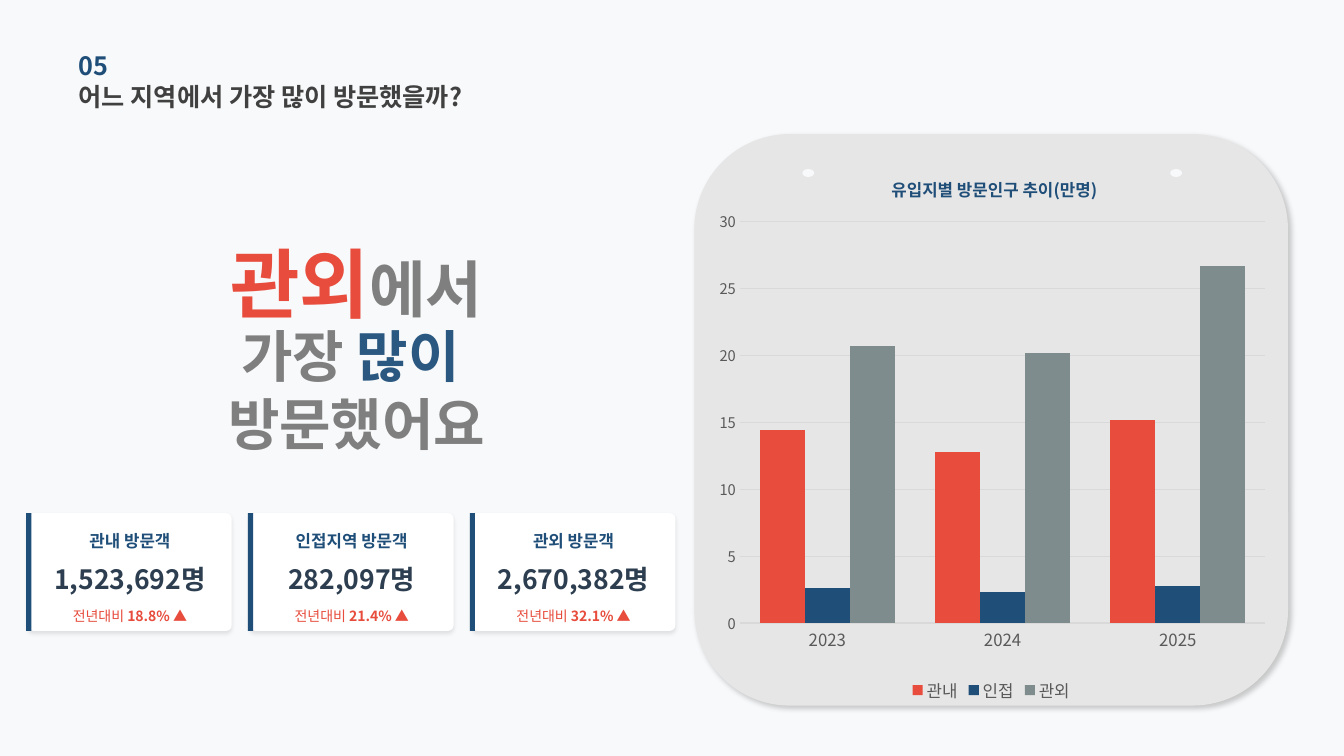
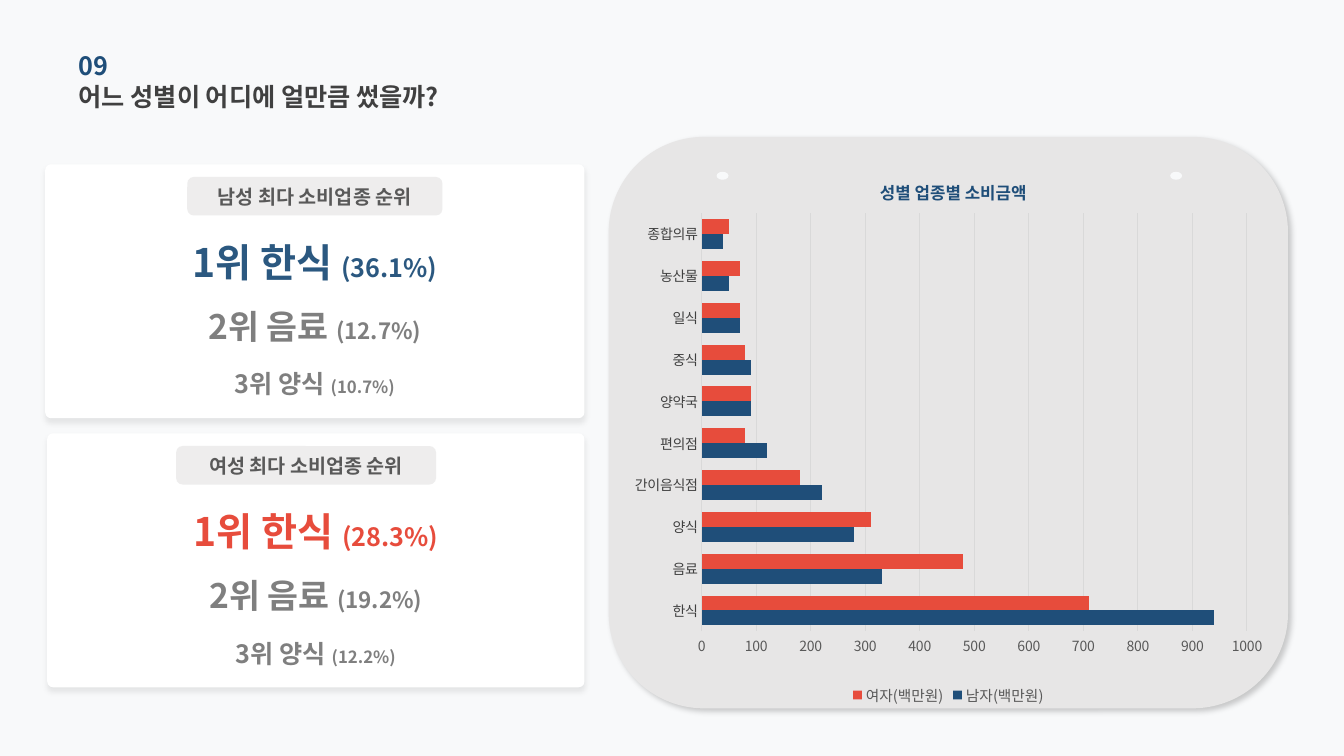
from lxml.etree import SubElement
from pptx import Presentation
from pptx.chart.data import CategoryChartData as Data
from pptx.dml.color import RGBColor as Rgb
from pptx.enum.chart import XL_CHART_TYPE as Kind
from pptx.enum.chart import XL_LEGEND_POSITION as Side
from pptx.enum.chart import XL_TICK_MARK as Tick
from pptx.enum.shapes import MSO_SHAPE as Form
from pptx.enum.text import MSO_ANCHOR as Anchor
from pptx.enum.text import MSO_AUTO_SIZE as Auto
from pptx.enum.text import PP_ALIGN as Align
from pptx.oxml import parse_xml
from pptx.oxml.ns import nsdecls, qn
from pptx.util import Cm, Pt

FONT = "Noto Sans CJK KR"
BACK = Rgb(0xF8, 0xF9, 0xFA)
WHITE = Rgb(0xFF, 0xFF, 0xFF)
PANEL = Rgb(0xE7, 0xE6, 0xE6)
PILL = Rgb(0xD0, 0xCE, 0xCE)
GRID = Rgb(0xD9, 0xD9, 0xD9)
NAVY = Rgb(0x1F, 0x4E, 0x79)
BLUE = Rgb(0x2B, 0x58, 0x80)
RED = Rgb(0xE7, 0x4C, 0x3C)
SLATE = Rgb(0x7F, 0x8C, 0x8D)
INK = Rgb(0x2C, 0x3E, 0x50)
DARK = Rgb(0x40, 0x40, 0x40)
DIM = Rgb(0x59, 0x59, 0x59)
GRAY = Rgb(0x7F, 0x7F, 0x7F)
FRAME = {
    "margin_left": 0, "margin_right": 0, "margin_top": 0, "margin_bottom": 0,
    "vertical_anchor": Anchor.MIDDLE, "word_wrap": True, "auto_size": Auto.NONE,
}


def apply(obj, values):
    """Set each attribute of an object from a dict."""
    for key, value in values.items():
        setattr(obj, key, value)


def style(font, size, color, bold=False):
    """Give a font the deck's face with a size, colour and weight."""
    apply(font, {"name": FONT, "size": Pt(size), "bold": bold})
    font.color.rgb = color


def write(frame, rows, align=Align.CENTER):
    """Fill a text frame with rows of (text, size, colour, bold) runs."""
    apply(frame, FRAME)
    for num, row in enumerate(rows):
        para = frame.add_paragraph() if num else frame.paragraphs[0]
        para.alignment = align
        for text, *look in row:
            run = para.add_run()
            run.text = text
            style(run.font, *look)


def label(shapes, box, rows, align=Align.CENTER):
    """Add a text box in a box given in centimetres."""
    write(shapes.add_textbox(*map(Cm, box)).text_frame, rows, align)


def draw(shapes, form, box, color, adj=None, alpha=None, shadow=None):
    """Add a filled shape with optional rounding, opacity and shadow."""
    shape = shapes.add_shape(form, *map(Cm, box))
    shape.shadow.inherit = False
    shape.fill.solid()
    shape.fill.fore_color.rgb = color
    shape.line.fill.background()
    if adj is not None:
        shape.adjustments[0] = adj
    props = shape._element.spPr
    if alpha:
        tone = props.find(".//" + qn("a:srgbClr"))
        SubElement(tone, qn("a:alpha"), val=str(alpha * 1000))
    if shadow:
        part, blur, dist, turn = shadow
        drop = SubElement(
            props.find(qn("a:effectLst")), qn("a:outerShdw"), blurRad=str(Pt(blur)),
            dist=str(Pt(dist)), dir=str(turn * 60000), algn="ctr", rotWithShape="0")
        tone = SubElement(drop, qn("a:srgbClr"), val="000000")
        SubElement(tone, qn("a:alpha"), val=str(part * 1000))
    return shape


def hangul(root):
    """Use each Latin face for East Asian text too."""
    for latin in list(root.iter(qn("a:latin"))):
        latin.addnext(parse_xml(f'<a:ea {nsdecls("a")} typeface="{FONT}"/>'))


def locate(node, index, spot):
    """Place a chart part by fractions of the chart's size."""
    for old in node.findall(qn("c:layout")):
        node.remove(old)
    layout = parse_xml(f'<c:layout {nsdecls("c")}/>')
    manual = SubElement(layout, qn("c:manualLayout"))
    if len(spot) == 4:
        SubElement(manual, qn("c:layoutTarget"), val="inner")
    for name in ("xMode", "yMode"):
        SubElement(manual, qn("c:" + name), val="edge")
    for name, value in zip("xywh", spot):
        SubElement(manual, qn("c:" + name), val=str(value))
    node.insert(index, layout)


def bare():
    """Return chart properties with neither fill nor line."""
    return parse_xml(f'<c:spPr {nsdecls("c", "a")}><a:noFill/>'
                     '<a:ln><a:noFill/></a:ln></c:spPr>')


def plot(shapes, box, spec):
    """Add a clustered bar or column chart."""
    data = Data()
    data.categories = spec["cats"]
    for name, _, vals in spec["rows"]:
        data.add_series(name, vals)
    chart = shapes.add_chart(spec["kind"], *map(Cm, box), data).chart
    style(chart.font, 10, DIM)
    chart.has_title = True
    run = chart.chart_title.text_frame.paragraphs[0].add_run()
    run.text = spec["title"]
    style(run.font, 12, NAVY, True)
    chart.has_legend = True
    apply(chart.legend, {"position": Side.BOTTOM, "include_in_layout": False})
    style(chart.legend.font, spec["key"], DIM)

    cat, val = chart.category_axis, chart.value_axis
    for axis, look in ((cat, spec["cat"]), (val, spec["val"])):
        apply(axis, {"major_tick_mark": Tick.NONE, "minor_tick_mark": Tick.NONE})
        style(axis.tick_labels.font, *look)
    top, step = spec["scale"]
    apply(val, {"minimum_scale": 0, "maximum_scale": top, "major_unit": step,
                "has_major_gridlines": True})
    for line in (cat.format.line, val.major_gridlines.format.line):
        line.color.rgb = GRID
        line.width = Pt(0.75)
    val.format.line.fill.background()

    bars = chart.plots[0]
    apply(bars, {"gap_width": spec["gap"], "overlap": 0, "vary_by_categories": False})
    for item, (_, color, _) in zip(bars.series, spec["rows"]):
        item.format.fill.solid()
        item.format.fill.fore_color.rgb = color

    space = chart._chartSpace
    body = space.find(qn("c:chart"))
    area = body.find(qn("c:plotArea"))
    locate(body.find(qn("c:title")), 1, spec["head"])
    locate(area, 0, spec["area"])
    area.append(bare())
    body.addnext(bare())
    hangul(space)


def panel(shapes, box, inset, spec):
    """Add the grey tag with two holes and its chart."""
    x, y, w, h = box
    draw(shapes, Form.ROUNDED_RECTANGLE, box, PANEL, shadow=(20, 4, 3, 45))
    for left in (x + 2.72, x + w - 2.97):
        draw(shapes, Form.OVAL, (left, y + 0.88, 0.3, 0.2), BACK)
    plot(shapes, (x + inset, y + 0.38, w - 2 * inset, 14.05), spec)


def card(shapes, box, name, count, rise):
    """Add a visitor card with an accent bar."""
    x, y, w, h = box
    draw(shapes, Form.ROUNDED_RECTANGLE, box, WHITE, 0.048, shadow=(10, 3, 2, 90))
    draw(shapes, Form.RECTANGLE, (x - 0.05, y, 0.13, h), NAVY)
    for down, tall, runs in (
        (0.41, 0.56, [(name, 12, NAVY, True)]),
        (1.22, 0.86, [(count, 19, INK, True)]),
        (2.34, 0.51, [("전년대비 ", 10, RED), (rise, 10, RED, True)]),
    ):
        label(shapes, (x, y + down, w, tall), [runs])


def ranks(shapes, box, pill, name, color, parts):
    """Add a grouped card with the top three kinds of business."""
    x, y, w, _ = box
    left, wide = pill
    group = shapes.add_group_shape().shapes
    draw(group, Form.ROUNDED_RECTANGLE, box, WHITE, 0.023, shadow=(8, 4, 3, 90))
    tag = draw(group, Form.ROUNDED_RECTANGLE, (x + left, y + 0.32, wide, 0.97),
               PILL, alpha=36)
    write(tag.text_frame, [[(name, 14, DIM, True)]])
    looks = (
        ("1위 한식 ", 1.85, 1.22, 28, 18, color),
        ("2위 음료 ", 3.02, 2.13, 24, 16, GRAY),
        ("3위 양식 ", 4.47, 2.13, 18, 12, GRAY),
    )
    for (text, down, tall, big, small, tone), part in zip(looks, parts):
        label(group, (x, y + down, w, tall),
              [[(text, big, tone, True), (f"({part}%)", small, tone, True)]])


def page(prs, num, title):
    """Add a slide with its number and title."""
    slide = prs.slides.add_slide(prs.slide_layouts[5])
    head = slide.shapes.title
    apply(head, {"left": Cm(1.98), "top": Cm(1.9), "width": Cm(13.41), "height": Cm(1.04)})
    write(head.text_frame, [[(title, 18, DARK, True)]], Align.LEFT)
    label(slide.shapes, (1.98, 1.12, 11.48, 1.04), [[(num, 18, NAVY, True)]], Align.LEFT)
    return slide


def region(prs):
    """Build the slide on where visitors come from."""
    slide = page(prs, "05", "어느 지역에서 가장 많이 방문했을까?")
    shapes = slide.shapes
    panel(shapes, (17.5, 3.38, 14.96, 14.4), 0.28, {
        "kind": Kind.COLUMN_CLUSTERED, "title": "유입지별 방문인구 추이(만명)",
        "cats": ["2023", "2024", "2025"],
        "rows": [("관내", RED, (14.4, 12.8, 15.2)),
                 ("인접", NAVY, (2.6, 2.3, 2.8)),
                 ("관외", SLATE, (20.7, 20.2, 26.7))],
        "scale": (30, 5), "gap": 90, "key": 12, "cat": (12, DIM), "val": (10.5, DIM),
        "head": (0.32, 0.04), "area": (0.06, 0.13, 0.92, 0.72),
    })
    label(shapes, (3.53, 6.5, 10.9, 1.22),
          [[("관외", 54, RED, True), ("에서", 44, GRAY, True)]])
    label(shapes, (1.98, 8.74, 14.02, 2.13),
          [[("가장", 40, GRAY, True), (" 많이 ", 40, BLUE, True)],
           [("방문했어요", 40, GRAY, True)]])
    for num, facts in enumerate((
        ("관내 방문객", "1,523,692명", "18.8% ▲"),
        ("인접지역 방문객", "282,097명", "21.4% ▲"),
        ("관외 방문객", "2,670,382명", "32.1% ▲"),
    )):
        card(shapes, (0.71 + 5.59 * num, 12.93, 5.13, 2.97), *facts)
    hangul(slide._element)


def gender(prs):
    """Build the slide on what men and women spend."""
    slide = page(prs, "09", "어느 성별이 어디에 얼만큼 썼을까?")
    shapes = slide.shapes
    panel(shapes, (15.34, 3.45, 17.12, 14.4), 0.38, {
        "kind": Kind.BAR_CLUSTERED, "title": "성별 업종별 소비금액",
        "cats": ["한식", "음료", "양식", "간이음식점", "편의점",
                 "양약국", "중식", "일식", "농산물", "종합의류"],
        "rows": [("남자(백만원)", NAVY, (940, 330, 280, 220, 120, 90, 90, 70, 50, 40)),
                 ("여자(백만원)", RED, (710, 480, 310, 180, 80, 90, 80, 70, 70, 50))],
        "scale": (1000, 100), "gap": 80, "key": 10.5, "cat": (10, DARK), "val": (10, DIM),
        "head": (0.39, 0.04), "area": (0.12, 0.11, 0.84, 0.75),
    })
    ranks(shapes, (1.14, 4.14, 13.59, 6.4), (3.58, 6.43),
          "남성 최다 소비업종 순위", BLUE, ("36.1", "12.7", "10.7"))
    ranks(shapes, (1.19, 10.92, 13.54, 6.4), (3.25, 6.55),
          "여성 최다 소비업종 순위", RED, ("28.3", "19.2", "12.2"))
    hangul(slide._element)


def main():
    """Build and save the deck."""
    prs = Presentation()
    apply(prs, {"slide_width": Cm(33.87), "slide_height": Cm(19.05)})
    fill = prs.slide_master.background.fill
    fill.solid()
    fill.fore_color.rgb = BACK
    region(prs)
    gender(prs)
    prs.save("out.pptx")


if __name__ == "__main__":
    main()
